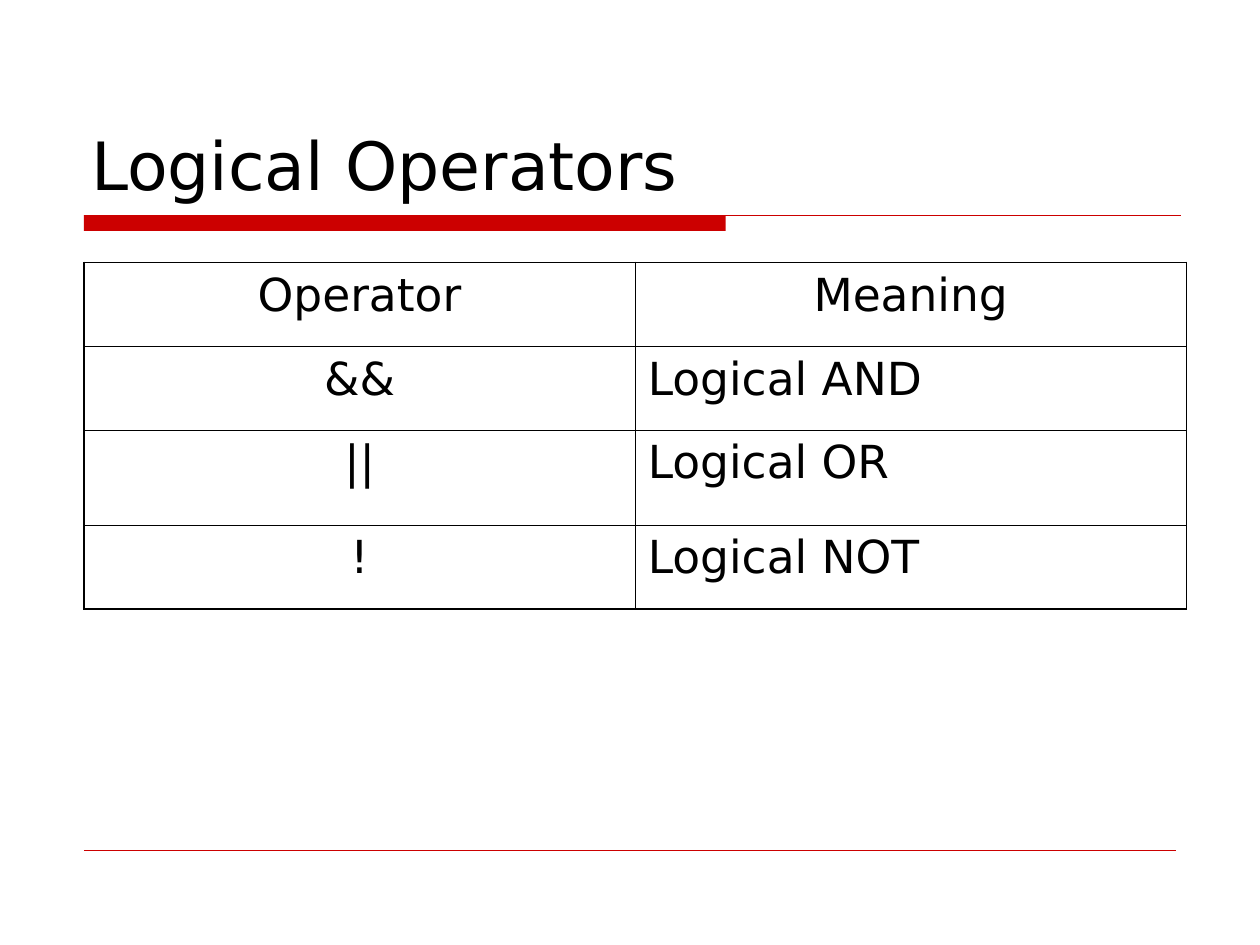
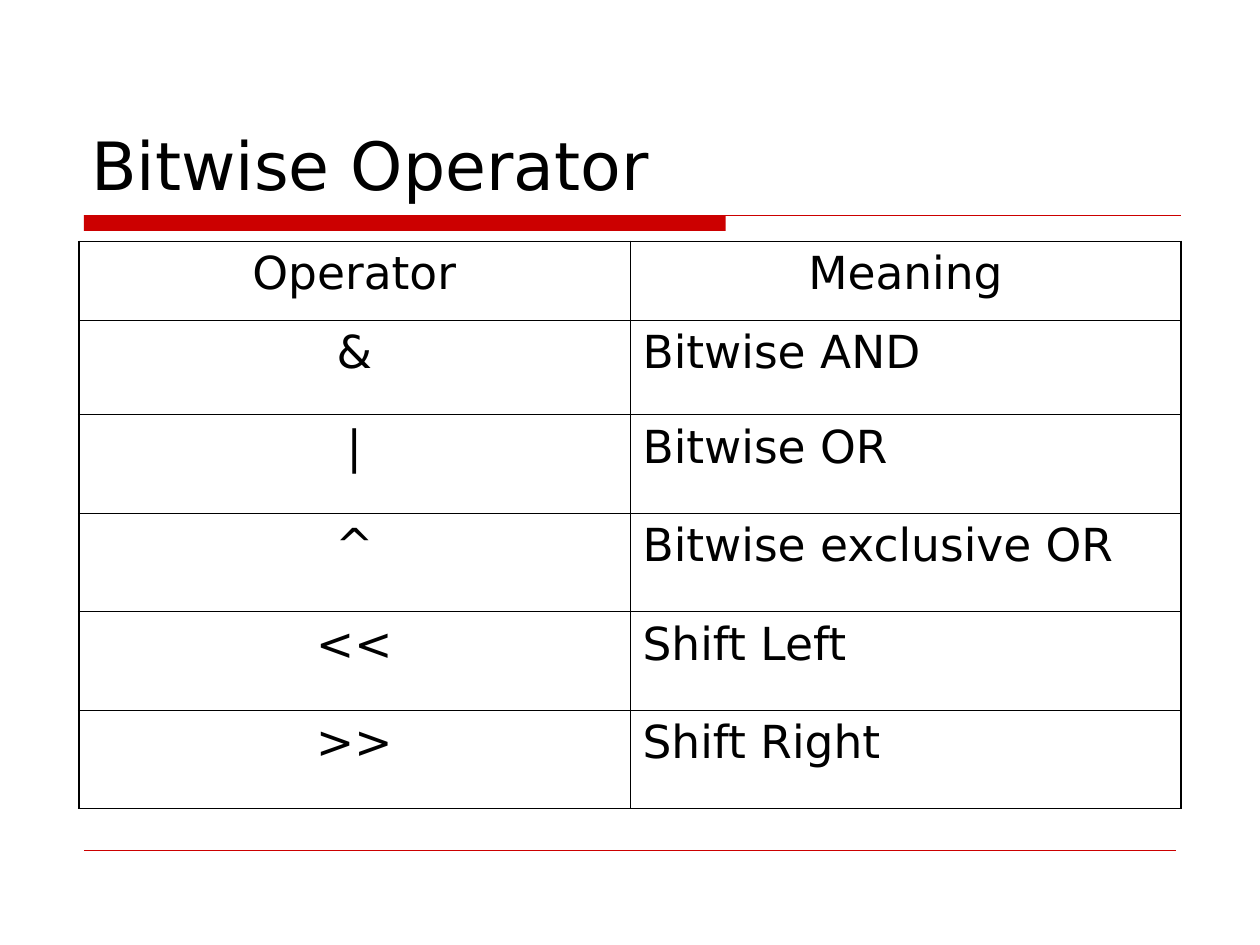
from dataclasses import dataclass

from lxml.etree import SubElement as Sub
from pptx import Presentation
from pptx.dml.color import RGBColor as RGB
from pptx.enum.shapes import MSO_CONNECTOR as LINK, MSO_SHAPE as FORM
from pptx.enum.text import MSO_ANCHOR as ANCHOR, PP_ALIGN as ALIGN
from pptx.oxml import parse_xml
from pptx.oxml.ns import nsdecls, qn
from pptx.util import Inches, Pt


@dataclass(frozen=True)
class Theme:
    """Colours, type sizes and line widths in points."""
    font: str = "DejaVu Sans"
    ink: str = "000000"
    red: str = "CC0000"
    title: int = 38
    body: int = 26
    gap: float = 6.5
    rule: float = 0.75
    foot: float = 0.25
    outer: float = 1.08
    inner: float = 0.45


THEME = Theme()
WIDE, HIGH = 240, 180
LEFT, HALF = 16, 105
HEAD = ("Operator", "Meaning")


def grid(*cells):
    """Turn grid steps, 24 to the inch, into lengths."""
    return [Inches(n / 24) for n in cells]


def style(para, size):
    """Give the runs of a paragraph the theme's font and ink."""
    for run in para.runs:
        run.font.name = THEME.font
        run.font.size = Pt(size)
        run.font.color.rgb = RGB.from_string(THEME.ink)


def line(slide, left, right, row, width):
    """Draw a level red line along a grid row."""
    link = slide.shapes.add_connector(LINK.STRAIGHT, *grid(left, row, right, row))
    link.line.color.rgb = RGB.from_string(THEME.red)
    link.line.width = Pt(width)
    Sub(link._element.spPr, qn("a:effectLst"))


def frame(slide):
    """Draw the red band, its rule and the foot line."""
    band = slide.shapes.add_shape(FORM.RECTANGLE, *grid(LEFT, 41, 122.25, 3))
    band.shadow.inherit = False
    band.fill.solid()
    band.fill.fore_color.rgb = RGB.from_string(THEME.red)
    band.line.fill.background()
    line(slide, LEFT, 225, 41, THEME.rule)
    line(slide, LEFT, WIDE - LEFT, 162, THEME.foot)


def title(slide, text):
    """Write the slide's title above the band."""
    box = slide.shapes.add_textbox(*grid(15, 8, 2 * HALF, 32)).text_frame
    box.word_wrap = True
    box.vertical_anchor = ANCHOR.BOTTOM
    box.text = text
    style(box.paragraphs[0], THEME.title)


def edge(cell, outer):
    """Line a cell's sides, heavier on those named in outer."""
    props = cell._tc.get_or_add_tcPr()
    for i, side in enumerate("LRTB"):
        width = Pt(THEME.outer if side in outer else THEME.inner)
        props.insert(i, parse_xml(
            f'<a:ln{side} {nsdecls("a")} w="{width}"><a:solidFill>'
            f'<a:srgbClr val="{THEME.ink}"/></a:solidFill></a:ln{side}>'))


def table(slide, left, top, steps, rows):
    """Add a table of operators, with row heights in grid steps."""
    rows = [HEAD, *rows]
    place = grid(left, top, 2 * HALF, sum(steps))
    grille = slide.shapes.add_table(len(rows), 2, *place).table
    grille.first_row = grille.horz_banding = False
    for col in grille.columns:
        col.width, = grid(HALF)
    for r, (texts, step) in enumerate(zip(rows, steps)):
        grille.rows[r].height, = grid(step)
        for c, text in enumerate(texts):
            cell = grille.cell(r, c)
            cell.fill.background()
            cell.text_frame.text = text
            para = cell.text_frame.paragraphs[0]
            para.alignment = ALIGN.LEFT if r and c else ALIGN.CENTER
            para.space_before = Pt(THEME.gap)
            style(para, THEME.body)
            ends = {"T": r == 0, "B": r == len(rows) - 1, "L": c == 0, "R": c == 1}
            edge(cell, [side for side, is_end in ends.items() if is_end])


def page(deck, text, *parts):
    """Add a slide with the shared frame, a title and a table."""
    slide = deck.slides.add_slide(deck.slide_layouts[6])
    frame(slide)
    title(slide, text)
    table(slide, *parts)


def main():
    """Build and save the deck."""
    deck = Presentation()
    deck.slide_width, deck.slide_height = grid(WIDE, HIGH)
    page(deck, "Logical Operators", LEFT, 50, [16, 16, 18, 16], [
        ("&&", "Logical AND"),
        ("||", "Logical OR"),
        ("!", "Logical NOT"),
    ])
    page(deck, "Bitwise Operator", 15, 46, [15, 18] + [18.75] * 4, [
        ("&", "Bitwise AND"),
        ("|", "Bitwise OR"),
        ("^", "Bitwise exclusive OR"),
        ("<<", "Shift Left"),
        (">>", "Shift Right"),
    ])
    deck.save("out.pptx")


if __name__ == "__main__":
    main()
